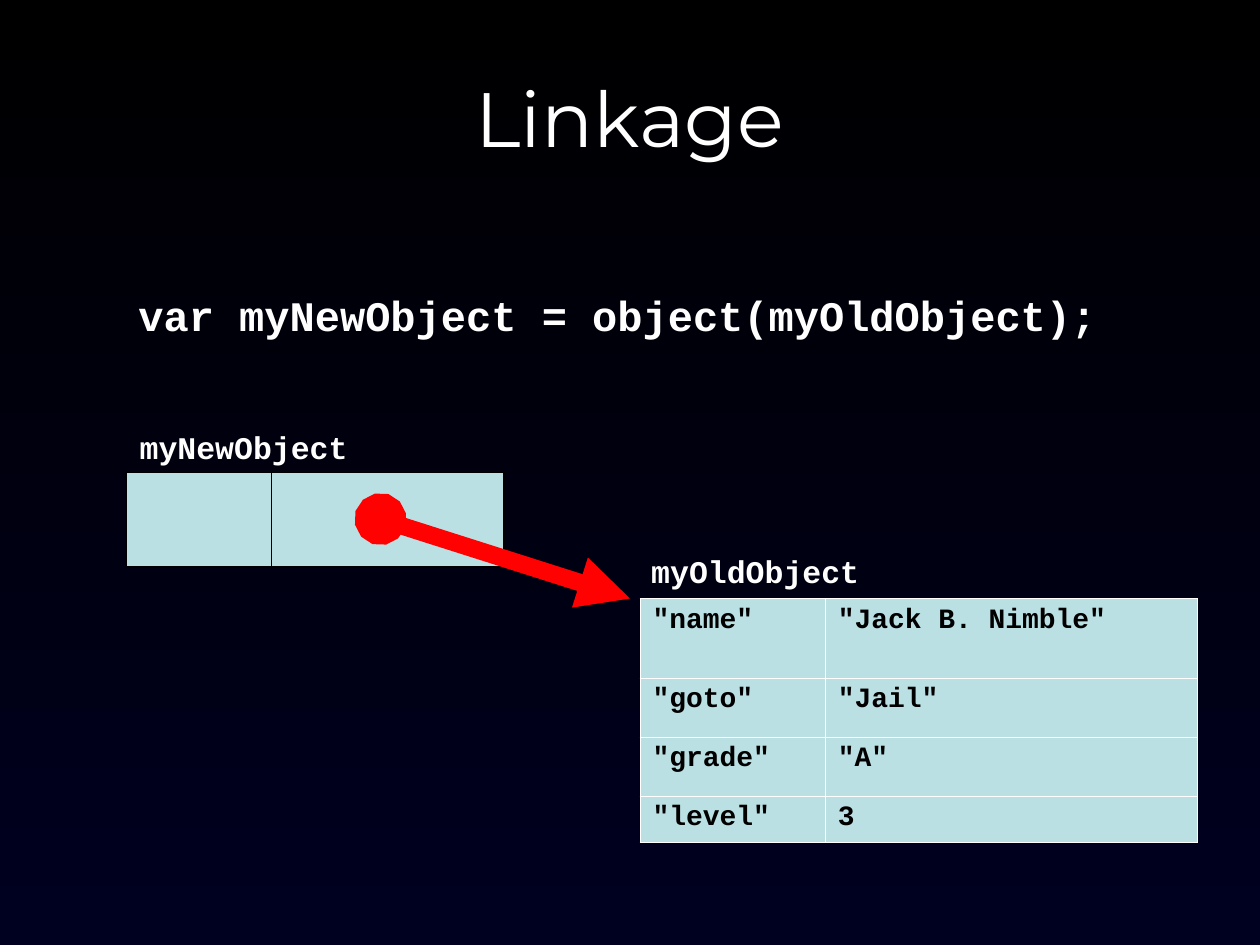
from dataclasses import dataclass

from lxml import etree
from pptx import Presentation
from pptx import util as u
from pptx.dml.color import RGBColor
from pptx.enum import shapes, text
from pptx.oxml import ns

PX = 9144  # EMU per px, 100 px to the inch


@dataclass(frozen=True)
class Theme:
    top: str = "000000"
    bottom: str = "000020"
    light: str = "FFFFFF"
    dark: str = "000000"
    cell: str = "BBE0E3"
    arrow: str = "FF0101"
    title_font: str = "Montserrat"
    code_font: str = "Courier New"
    title_size: int = 44
    code_size: int = 24
    label_size: int = 18
    cell_size: int = 16


class SlideBuilder:
    def __init__(self, presentation, theme):
        self.theme = theme
        self.slide = presentation.slides.add_slide(presentation.slide_layouts[5])

    def background(self):
        fill = self.slide.background.fill
        fill.gradient()
        fill.gradient_angle = 270
        for stop, color in zip(fill.gradient_stops, (self.theme.top, self.theme.bottom)):
            stop.color.rgb = RGBColor.from_string(color)

    def run(self, paragraph, words, size, color, font=None, bold=True):
        run = paragraph.add_run()
        run.text = words
        run.font.name = font or self.theme.code_font
        run.font.size = u.Pt(size)
        run.font.bold = bold
        run.font.color.rgb = RGBColor.from_string(color)

    def title(self, words, left, top, width, height):
        shape = self.slide.shapes.title
        shape.left, shape.top, shape.width, shape.height = (
            n * PX for n in (left, top, width, height))
        shape.text_frame.vertical_anchor = text.MSO_ANCHOR.MIDDLE
        paragraph = shape.text_frame.paragraphs[0]
        paragraph.alignment = text.PP_ALIGN.CENTER
        self.run(paragraph, words, self.theme.title_size, self.theme.light,
                 self.theme.title_font, bold=False)

    def code(self, words, left, top, width, height, size, wrap=False):
        shape = self.slide.shapes.add_textbox(*(n * PX for n in (left, top, width, height)))
        frame = shape.text_frame
        frame.word_wrap = wrap
        frame.auto_size = text.MSO_AUTO_SIZE.SHAPE_TO_FIT_TEXT
        self.run(frame.paragraphs[0], words, size, self.theme.light)

    def border(self, cell, color, widths):
        properties = cell._tc.get_or_add_tcPr()
        for index, (side, width) in enumerate(zip("LRTB", widths)):
            line = etree.Element(ns.qn(f"a:ln{side}"), w=str(u.Pt(width)))
            fill = etree.SubElement(line, ns.qn("a:solidFill"))
            etree.SubElement(fill, ns.qn("a:srgbClr"), val=color)
            properties.insert(index, line)

    def table(self, rows, left, top, widths, heights, color, borders):
        """Each column takes its own (left, right, top, bottom) border widths."""
        box = (left, top, sum(widths), sum(heights))
        table = self.slide.shapes.add_table(
            len(heights), len(widths), *(n * PX for n in box)).table
        table.first_row = table.horz_banding = False
        for column, width in zip(table.columns, widths):
            column.width = width * PX
        for row, height, values in zip(table.rows, heights, rows):
            row.height = height * PX
            for cell, words, edges in zip(row.cells, values, borders):
                cell.fill.solid()
                cell.fill.fore_color.rgb = RGBColor.from_string(self.theme.cell)
                self.border(cell, color, edges)
                if words:
                    self.run(cell.text_frame.paragraphs[0], words,
                             self.theme.cell_size, self.theme.dark)

    def arrow(self, x1, y1, x2, y2, width):
        connector = self.slide.shapes.add_connector(
            shapes.MSO_CONNECTOR.STRAIGHT, *(n * PX for n in (x1, y1, x2, y2)))
        connector.line.width = u.Pt(width)
        connector.line.color.rgb = RGBColor.from_string(self.theme.arrow)
        line = connector.line._get_or_add_ln()
        etree.SubElement(line, ns.qn("a:headEnd"), type="oval")
        etree.SubElement(line, ns.qn("a:tailEnd"), type="triangle")
        etree.SubElement(connector._element.spPr, ns.qn("a:effectLst"))


def main():
    presentation = Presentation()
    presentation.slide_width, presentation.slide_height = 1000 * PX, 750 * PX
    theme = Theme()
    builder = SlideBuilder(presentation, theme)

    # Heading
    builder.background()
    builder.title("Linkage", 50, 30, 900, 125)

    # Members of the old object
    members = [
        ('"name"', '"Jack B. Nimble"'),
        ('"goto"', '"Jail"'),
        ('"grade"', '"A"'),
        ('"level"', "3"),
    ]
    builder.table(members, 508, 475, (147, 295), (63, 47, 47, 37),
                  theme.light, [(0.45,) * 4] * 2)

    # Statement that links the objects
    builder.code("var myNewObject = object(myOldObject);", 100, 225, 819, 50,
                 theme.code_size, wrap=True)

    # Empty new object and its link
    builder.table([("", "")], 100, 375, (115, 185), (75,), theme.dark,
                  [(1.08, 0.45, 1.08, 1.08), (0.45, 1.08, 1.08, 1.08)])
    builder.arrow(302, 412, 500, 475, 10)

    # Object names
    builder.code("myNewObject", 101, 335, 185, 40, theme.label_size)
    builder.code("myOldObject", 507, 433, 185, 40, theme.label_size)

    presentation.save("out.pptx")


if __name__ == "__main__":
    main()
